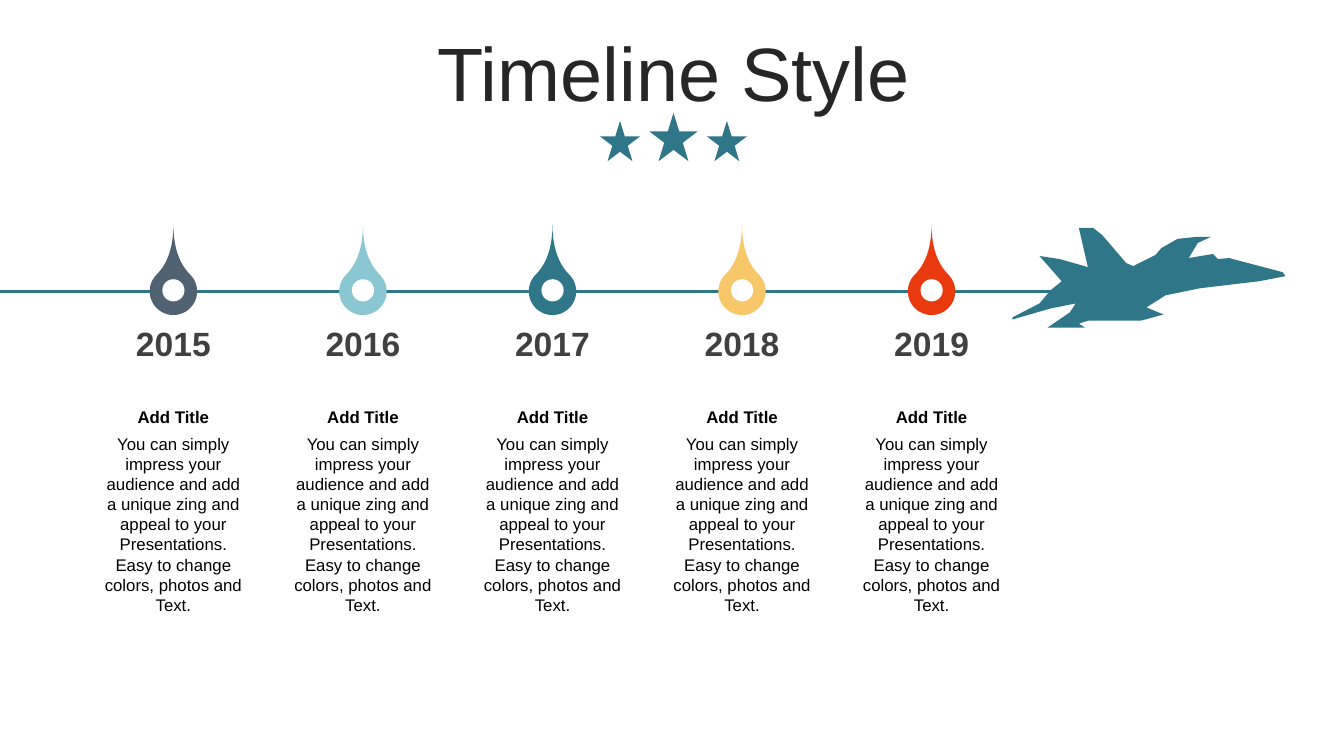
import pptx
import pptx.dml.color
import pptx.enum.shapes
import pptx.enum.text
import pptx.oxml
import pptx.oxml.ns
import pptx.util

Inches = pptx.util.Inches
Color = pptx.dml.color.RGBColor
Shape = pptx.enum.shapes.MSO_SHAPE
AutoSize = pptx.enum.text.MSO_AUTO_SIZE
Anchor = pptx.enum.text.MSO_ANCHOR

TEAL = Color(0x30, 0x76, 0x89)
SLATE = Color(0x50, 0x62, 0x72)
AQUA = Color(0x8A, 0xC7, 0xD3)
YELLOW = Color(0xF7, 0xC7, 0x6A)
RED = Color(0xE9, 0x3A, 0x0F)
WHITE = Color(0xFF, 0xFF, 0xFF)
BLACK = Color(0, 0, 0)
INK = Color(0x26, 0x26, 0x26)
GRAY = Color(0x40, 0x40, 0x40)

# Timeline grid, in inches
WIDTH, HEIGHT = 13.33, 7.5
FIRST_COLUMN, COLUMN_STEP = 1.72, 1.88
LINE_ROW, YEAR_ROW, TITLE_ROW, BODY_ROW = 2.89, 3.2, 3.99, 4.25
STAR_CENTER, STAR_STEP, STAR_BOTTOM = 6.68, 0.53, 1.6

MILESTONES = [("2015", SLATE), ("2016", AQUA), ("2017", TEAL),
              ("2018", YELLOW), ("2019", RED)]
BODY = ("You can simply impress your audience and add a unique zing and appeal to your "
        "Presentations. Easy to change colors, photos and Text.")

# Jet outline, clockwise from the tail
JET_OUTLINE = [
    (10.04, 3.15), (10.31, 3.01), (10.42, 2.88), (10.53, 2.79), (10.31, 2.54),
    (10.51, 2.57), (10.79, 2.65), (10.7, 2.26), (10.84, 2.26), (10.93, 2.33),
    (11.17, 2.61), (11.24, 2.64), (11.46, 2.53), (11.52, 2.46), (11.68, 2.37),
    (11.87, 2.35), (12.01, 2.35), (11.88, 2.41), (11.79, 2.56), (12.03, 2.52),
    (12.08, 2.57), (12.19, 2.56), (12.72, 2.7), (12.75, 2.74), (12.49, 2.79),
    (11.9, 2.86), (11.56, 2.93), (11.37, 3.05), (11.54, 3.12), (11.32, 3.18),
    (10.8, 3.18), (10.7, 3.21), (10.76, 3.25), (10.39, 3.25), (10.61, 3.1),
    (10.67, 3.01), (10.42, 3.06), (10.04, 3.17),
]


def paint(shape, color):
    shape.shadow.inherit = False
    shape.fill.solid()
    shape.fill.fore_color.rgb = color
    shape.line.fill.background()


def add_centered(shapes, kind, center, middle, size, color):
    shape = shapes.add_shape(kind, Inches(center - size / 2), Inches(middle - size / 2),
                             Inches(size), Inches(size))
    paint(shape, color)
    return shape


def add_text(shapes, text, center, top, width, height, size, color,
             bold=False, frame_format=None):
    box = shapes.add_textbox(Inches(center - width / 2), Inches(top),
                             Inches(width), Inches(height))
    settings = {"word_wrap": True, "auto_size": AutoSize.SHAPE_TO_FIT_TEXT}
    settings.update(frame_format or {})
    for name, value in settings.items():
        setattr(box.text_frame, name, value)
    para = box.text_frame.paragraphs[0]
    para.alignment = pptx.enum.text.PP_ALIGN.CENTER
    span = para.add_run()
    span.text = text
    font_format = {"name": "Arial", "size": pptx.util.Pt(size), "bold": bold}
    for name, value in font_format.items():
        setattr(span.font, name, value)
    span.font.color.rgb = color
    return para


def add_jet(shapes):
    points = [(Inches(x), Inches(y)) for x, y in JET_OUTLINE]
    builder = shapes.build_freeform(*points[0])
    builder.add_line_segments(points[1:], close=True)
    paint(builder.convert_to_shape(), TEAL)


def add_track(shapes):
    track = shapes.add_connector(pptx.enum.shapes.MSO_CONNECTOR.STRAIGHT, 0,
                                 Inches(LINE_ROW), Inches(10.44), Inches(LINE_ROW))
    track.line.color.rgb = TEAL
    track.line.width = pptx.util.Pt(2)
    track._element.spPr.append(pptx.oxml.parse_xml(
        "<a:effectLst %s/>" % pptx.oxml.ns.nsdecls("a")))


def add_stars(page):
    stars = page.shapes.add_group_shape().shapes
    for offset, size in ((0, 0.48), (1, 0.4), (-1, 0.4)):
        add_centered(stars, Shape.STAR_5_POINT, STAR_CENTER + offset * STAR_STEP,
                     STAR_BOTTOM - size / 2, size, TEAL)


def add_milestone(page, center, year, color):
    pin = add_centered(page.shapes, Shape.TEAR, center, LINE_ROW, 0.47, color)
    pin.adjustments[0] = 2
    pin.rotation = 315
    add_centered(page.shapes, Shape.OVAL, center, LINE_ROW - 0.01, 0.22, WHITE)
    no_margins = dict.fromkeys(
        ("margin_left", "margin_top", "margin_right", "margin_bottom"), 0)
    add_text(page.shapes, year, center, YEAR_ROW, 1.2, 0.4, 24, GRAY, True, no_margins)
    caption = page.shapes.add_group_shape().shapes
    add_text(caption, BODY, center, BODY_ROW, 1.65, 1.92, 12, BLACK)
    add_text(caption, "Add Title", center, TITLE_ROW, 1.65, 0.3, 12, BLACK, True)


def main():
    deck = pptx.Presentation()
    deck.slide_width, deck.slide_height = Inches(WIDTH), Inches(HEIGHT)
    page = deck.slides.add_slide(deck.slide_layouts[6])

    # Heading
    add_stars(page)
    heading = add_text(page.shapes, "Timeline Style", STAR_CENTER, 0.37, 12.66, 0.79, 54, INK,
                       frame_format={"vertical_anchor": Anchor.MIDDLE,
                                     "auto_size": AutoSize.NONE})
    heading.line_spacing = 0.9

    # Jet and its trail
    add_jet(page.shapes)
    add_track(page.shapes)

    # Years
    for column, (year, color) in enumerate(MILESTONES):
        add_milestone(page, FIRST_COLUMN + column * COLUMN_STEP, year, color)

    deck.save("out.pptx")


if __name__ == "__main__":
    main()
